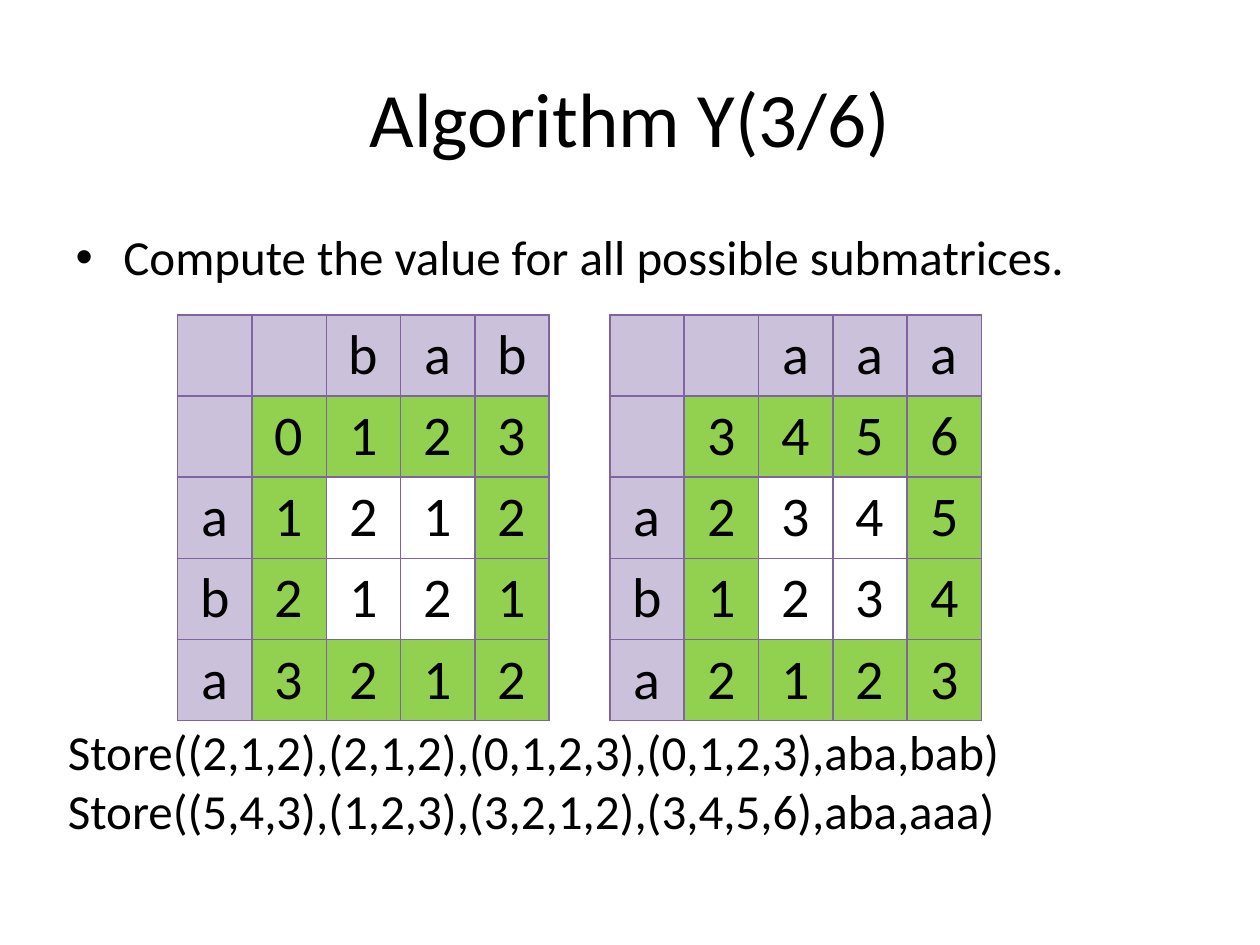
import pptx
import pptx.dml.color
import pptx.enum.text
import pptx.oxml
import pptx.oxml.ns
import pptx.util

INK = "000000"
LABEL_FILL = "CCC1DA"
EDGE_FILL = "92D050"
RULE = "8064A2"
FACE = "Calibri"
WIDTH, HEIGHT = pptx.util.Inches(10), pptx.util.Inches(7.5)
CELL = pptx.util.Inches(0.59)
ALIGN = pptx.enum.text.PP_ALIGN
ANCHOR = pptx.enum.text.MSO_ANCHOR


def colour(value):
    return pptx.dml.color.RGBColor.from_string(value)


def share(left, top, width, height):
    return (round(left * WIDTH), round(top * HEIGHT),
            round(width * WIDTH), round(height * HEIGHT))


def place(shape, box):
    shape.left, shape.top, shape.width, shape.height = box


def style(paragraph, size, align):
    paragraph.alignment = align
    paragraph.font.size = pptx.util.Pt(size)
    paragraph.font.name = FACE
    paragraph.font.color.rgb = colour(INK)


def add_heading(slide, box, wording):
    heading = slide.shapes.title
    place(heading, box)
    heading.text_frame.text = wording
    heading.text_frame.vertical_anchor = ANCHOR.MIDDLE
    style(heading.text_frame.paragraphs[0], 44, ALIGN.CENTER)


def add_step(slide, box, wording):
    step = slide.placeholders[1]
    place(step, box)
    step.text_frame.text = wording
    paragraph = step.text_frame.paragraphs[0]
    properties = paragraph._p.get_or_add_pPr()
    indent = pptx.util.Inches(0.38)
    properties.set("marL", str(indent))
    properties.set("indent", str(-indent))
    namespace = pptx.oxml.ns.nsdecls("a")
    properties.append(pptx.oxml.parse_xml(f'<a:buFont {namespace} typeface="Arial"/>'))
    properties.append(pptx.oxml.parse_xml(f'<a:buChar {namespace} char="•"/>'))
    paragraph.space_before = pptx.util.Pt(0)
    style(paragraph, 28, ALIGN.LEFT)


def rule_cell(cell):
    properties = cell._tc.get_or_add_tcPr()
    namespace = pptx.oxml.ns.nsdecls("a")
    for position, side in enumerate(("lnL", "lnR", "lnT", "lnB")):
        properties.insert(position, pptx.oxml.parse_xml(
            f'<a:{side} {namespace} w="{pptx.util.Pt(1)}"><a:solidFill>'
            f'<a:srgbClr val="{RULE}"/></a:solidFill></a:{side}>'))


def fill_cell(cell, row, column, last):
    if row == 0 or column == 0:
        fill = LABEL_FILL
    elif row in (1, last) or column in (1, last):
        fill = EDGE_FILL
    else:
        cell.fill.background()
        return
    cell.fill.solid()
    cell.fill.fore_color.rgb = colour(fill)


def add_matrix(slide, left, top, lines):
    count = len(lines)
    matrix = slide.shapes.add_table(
        count, count, left, top, CELL * count, CELL * count).table
    matrix.first_row = matrix.horz_banding = False
    for row, line in enumerate(lines):
        matrix.rows[row].height = matrix.columns[row].width = CELL
        for column, symbol in enumerate(line):
            cell = matrix.cell(row, column)
            cell.text = symbol.strip()
            cell.vertical_anchor = ANCHOR.MIDDLE
            style(cell.text_frame.paragraphs[0], 32, ALIGN.CENTER)
            fill_cell(cell, row, column, count - 1)
            rule_cell(cell)


def add_stored(slide, box, entries):
    stored = slide.shapes.add_textbox(*box).text_frame
    stored.word_wrap = False
    stored.auto_size = pptx.enum.text.MSO_AUTO_SIZE.SHAPE_TO_FIT_TEXT
    stored.text = "\n".join(entries)
    for paragraph in stored.paragraphs:
        style(paragraph, 28, ALIGN.LEFT)


def main():
    deck = pptx.Presentation()
    deck.slide_width, deck.slide_height = WIDTH, HEIGHT
    slide = deck.slides.add_slide(deck.slide_layouts[1])
    add_heading(slide, share(0.05, 0.04, 0.9, 1 / 6), "Algorithm Y(3/6)")
    add_step(slide, share(0.05, 7 / 30, 0.9, 0.66),
             "Compute the value for all possible submatrices.")
    matrices = (
        ("  bab", " 0123", "a1212", "b2121", "a3212"),
        ("  aaa", " 3456", "a2345", "b1234", "a2123"),
    )
    for index, lines in enumerate(matrices):
        add_matrix(slide, round((0.141 + 0.343 * index) * WIDTH),
                   round(HEIGHT / 3), lines)
    add_stored(slide, share(0.044, 0.757, 0.769, 0.139), (
        "Store((2,1,2),(2,1,2),(0,1,2,3),(0,1,2,3),aba,bab)",
        "Store((5,4,3),(1,2,3),(3,2,1,2),(3,4,5,6),aba,aaa)",
    ))
    deck.save("out.pptx")


if __name__ == "__main__":
    main()
